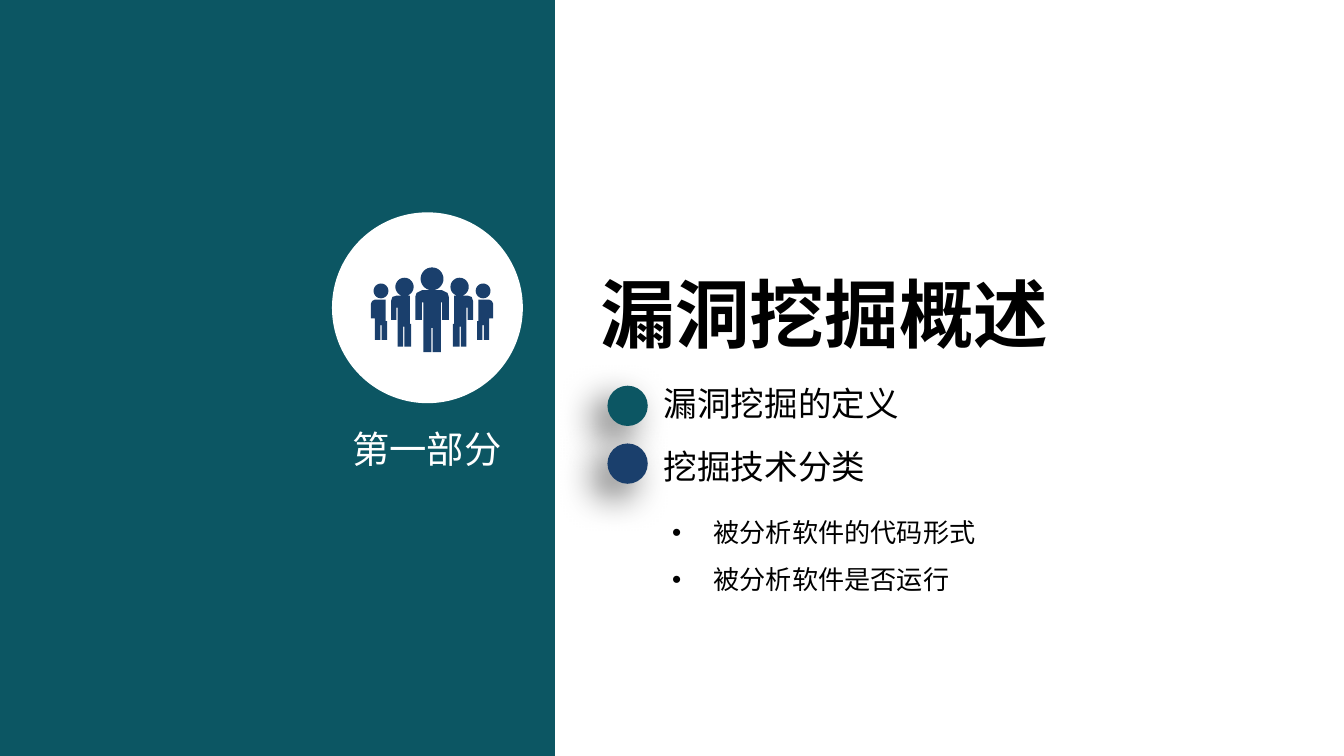
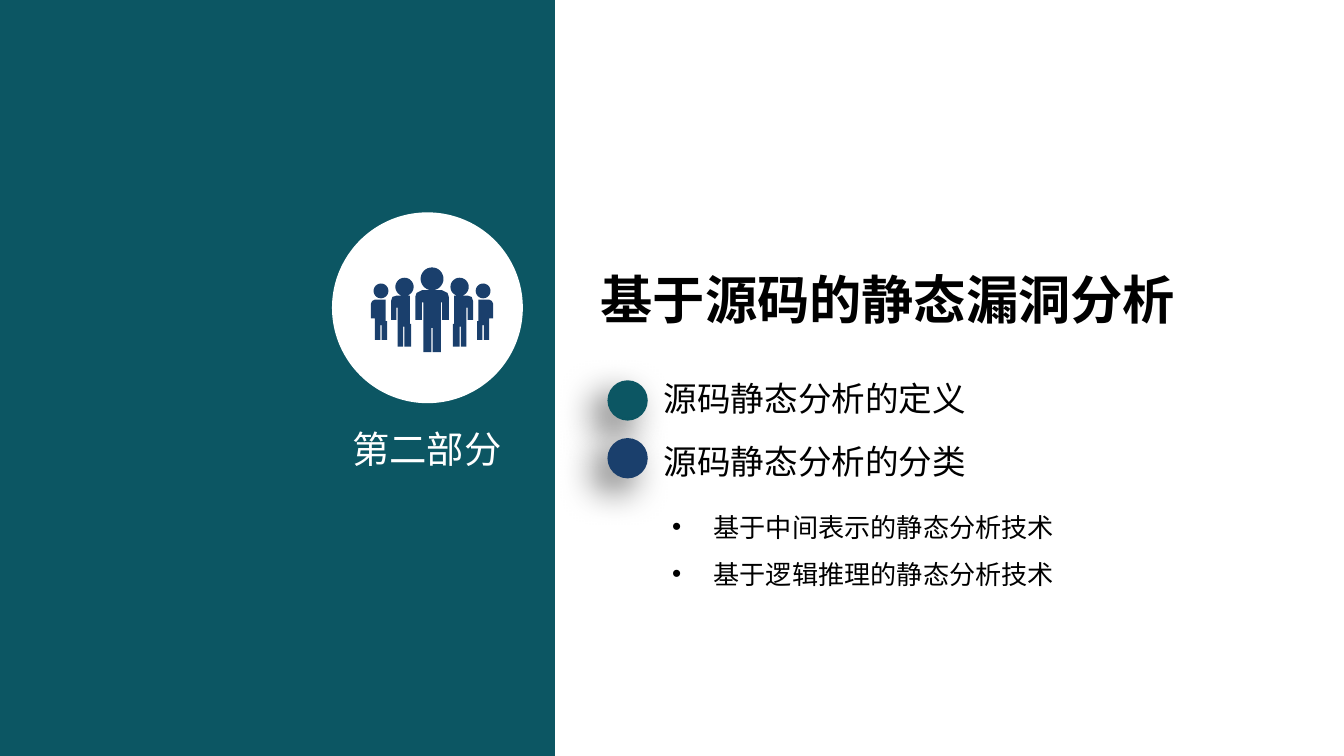
from dataclasses import dataclass
from math import cos, pi, sin
from typing import NamedTuple

from lxml.etree import SubElement
from pptx import Presentation
from pptx.dml.color import RGBColor
from pptx.enum.shapes import MSO_SHAPE as Shp
from pptx.enum.text import MSO_ANCHOR as Anchor, MSO_AUTO_SIZE as Fit, PP_ALIGN as Align
from pptx.oxml.ns import qn
from pptx.util import Emu, Inches, Pt

COLORS = {"teal": "0C5663", "navy": "1A3F6C", "white": "FFFFFF", "black": "000000"}
FONT = "Noto Sans CJK SC"
CELL = Inches(0.1)
COLS, ROWS = 100, 56.25
DOT_COLORS = ("teal", "navy")
DOT_PITCH, TOPIC_PITCH = 4.3, 4.7
ICON_AXIS = 32.15


class Box(NamedTuple):
    """Left, top, width and height in grid cells."""
    x: float
    y: float
    w: float
    h: float


class Head(NamedTuple):
    """Centre and radius of a head in grid cells."""
    x: float
    y: float
    r: float


@dataclass
class Section:
    """The contents of one section slide."""
    label: str
    title: str
    title_size: int
    topics: tuple[str, ...]
    methods: tuple[str, ...]
    top: float


SECTIONS = (
    Section("第一部分", "漏洞挖掘概述", 40, ("漏洞挖掘的定义", "挖掘技术分类"),
            ("被分析软件的代码形式", "被分析软件是否运行"), 28),
    Section("第二部分", "基于源码的静态漏洞分析", 28, ("源码静态分析的定义", "源码静态分析的分类"),
            ("基于中间表示的静态分析技术", "基于逻辑推理的静态分析技术"), 27.6),
)
MIDDLE_HEAD = Head(ICON_AXIS, 20.75, 0.85)
SIDE_HEADS = (Head(30.1, 21.35, 0.68), Head(28.35, 21.65, 0.55))
HALF_BODY = [(31.4, 21.6), (31, 21.8), (30.9, 22.1), (30.9, 23.8), (31.4, 23.8), (31.4, 22.5),
             (31.5, 22.5), (31.5, 26.2), (32.1, 26.2), (32.1, 24.4)]
SIDE_BODIES = (
    [(30.5, 22), (30.5, 24.1), (30.6, 24.1), (30.6, 25.8), (30.1, 25.8), (30.1, 24.3), (30, 24.3),
     (30, 25.8), (29.6, 25.8), (29.6, 22.9), (29.5, 22.9), (29.5, 23.8), (29.1, 23.8),
     (29.1, 22.4), (29.2, 22.1), (29.5, 22)],
    [(28.7, 22.3), (28.7, 23.9), (28.8, 23.9), (28.8, 25.3), (28.4, 25.3), (28.4, 24.2),
     (28.3, 24.2), (28.3, 25.3), (27.9, 25.3), (27.9, 23.7), (27.6, 23.7), (27.6, 22.6),
     (27.7, 22.4), (27.9, 22.3)],
)


def place(box: Box) -> list[Emu]:
    """Turn grid cells into lengths."""
    return [Emu(round(v * CELL)) for v in box]


def paint(sp, color: str) -> None:
    """Give a shape a plain fill without line or shadow."""
    sp.fill.solid()
    sp.fill.fore_color.rgb = RGBColor.from_string(COLORS[color])
    sp.line.fill.background()
    sp.shadow.inherit = False


def add_shape(shapes, kind: Shp, box: Box, color: str):
    """Add a painted preset shape."""
    sp = shapes.add_shape(kind, *place(box))
    paint(sp, color)
    return sp


def add_shadow(sp) -> None:
    """Cast a soft shadow to the lower left."""
    effects = sp._element.spPr.find(qn("a:effectLst"))
    shadow = SubElement(effects, qn("a:outerShdw"), blurRad=str(Pt(20)), dist=str(Pt(10)),
                        dir=str(135 * 60000), algn="tr", rotWithShape="0")
    color = SubElement(shadow, qn("a:srgbClr"), val=COLORS["black"])
    SubElement(color, qn("a:alpha"), val="60000")


def write(p, text: str, size: int, color: str = "black", bold: bool = False) -> None:
    """Write one left-aligned run."""
    p.alignment = Align.LEFT
    r = p.add_run()
    r.text = text
    for name, value in {"name": FONT, "size": Pt(size), "bold": bold}.items():
        setattr(r.font, name, value)
    r.font.color.rgb = RGBColor.from_string(COLORS[color])
    SubElement(r._r.get_or_add_rPr(), qn("a:ea"), typeface=FONT)


def frame(sp, box: Box, **layout):
    """Place a text shape and set up its frame."""
    for name, value in zip(("left", "top", "width", "height"), place(box)):
        setattr(sp, name, value)
    tf = sp.text_frame
    values = {"word_wrap": True, "auto_size": Fit.SHAPE_TO_FIT_TEXT,
              "vertical_anchor": Anchor.TOP} | layout
    for name, value in values.items():
        setattr(tf, name, value)
    return tf


def add_text(s, box: Box, text: str, size: int, color: str = "black", **layout) -> None:
    """Add a one-line text box."""
    tf = frame(s.shapes.add_textbox(0, 0, 0, 0), box, **layout)
    write(tf.paragraphs[0], text, size, color)


def mirror(points: list) -> list:
    """Reflect an outline about the icon's axis."""
    return [(2 * ICON_AXIS - x, y) for x, y in reversed(points)]


def circle(head: Head, steps: int = 32) -> list:
    """List the points of a round head."""
    turns = [2 * pi * i / steps for i in range(steps)]
    return [(head.x + head.r * cos(t), head.y + head.r * sin(t)) for t in turns]


def add_icon(s) -> None:
    """Draw the white disc with five people."""
    group = s.shapes.add_group_shape()
    add_shape(group.shapes, Shp.OVAL, Box(24.7, 15.8, 14.2, 14.2), "white")
    sides = [circle(head) for head in SIDE_HEADS] + list(SIDE_BODIES)
    outlines = [circle(MIDDLE_HEAD), HALF_BODY + mirror(HALF_BODY), *sides, *map(mirror, sides)]
    scaled = [[(x * CELL, y * CELL) for x, y in outline] for outline in outlines]
    builder = group.shapes.build_freeform(*scaled[0][0])
    for i, (start, *rest) in enumerate(scaled):
        if i:
            builder.move_to(*start)
        builder.add_line_segments(rest, close=True)
    paint(builder.convert_to_shape(), "navy")


def add_topics(s, section: Section) -> None:
    """Add the dotted topic lines."""
    for i, (topic, color) in enumerate(zip(section.topics, DOT_COLORS)):
        dot = Box(45.2, section.top + 0.7 + i * DOT_PITCH, 3, 3)
        add_shadow(add_shape(s.shapes, Shp.OVAL, dot, color))
        box = Box(48.4, section.top + i * TOPIC_PITCH, 2.5 * len(topic) + 2.2, 4)
        add_text(s, box, topic, 18, word_wrap=False)


def fill_methods(sp, section: Section) -> None:
    """Fill the body placeholder with the bulleted methods."""
    tf = frame(sp, Box(49, section.top + 8.75, 39.5, 8.1))
    for i, method in enumerate(section.methods):
        p = tf.add_paragraph() if i else tf.paragraphs[0]
        for name, value in {"line_spacing": 1.5, "space_before": Pt(0)}.items():
            setattr(p, name, value)
        write(p, method, 14)
        pPr = p._p.get_or_add_pPr()
        for name, inches in {"marL": 0.31, "indent": -0.31}.items():
            pPr.set(name, str(Inches(inches)))
        SubElement(pPr, qn("a:buFont"), typeface="Arial")
        SubElement(pPr, qn("a:buChar"), char="•")


def add_section(prs, section: Section) -> None:
    """Build one section slide."""
    s = prs.slides.add_slide(prs.slide_layouts[1])
    add_shape(s.shapes, Shp.RECTANGLE, Box(0, 0, 41.3, ROWS), "teal")
    tf = frame(s.shapes.title, Box(43.7, 19.4, 52.3, 1 + section.title_size / 6))
    write(tf.paragraphs[0], section.title, section.title_size, bold=True)
    insets = dict.fromkeys(("margin_left", "margin_top", "margin_right", "margin_bottom"), 0)
    add_text(s, Box(26.2, 31.7, 13.6, 3.4), section.label, 20, "white", **insets)
    add_icon(s)
    add_topics(s, section)
    fill_methods(s.placeholders[1], section)


def main() -> None:
    """Build and save the section slides."""
    prs = Presentation()
    prs.slide_width, prs.slide_height = COLS * CELL, round(ROWS * CELL)
    for section in SECTIONS:
        add_section(prs, section)
    prs.save("out.pptx")


if __name__ == "__main__":
    main()
